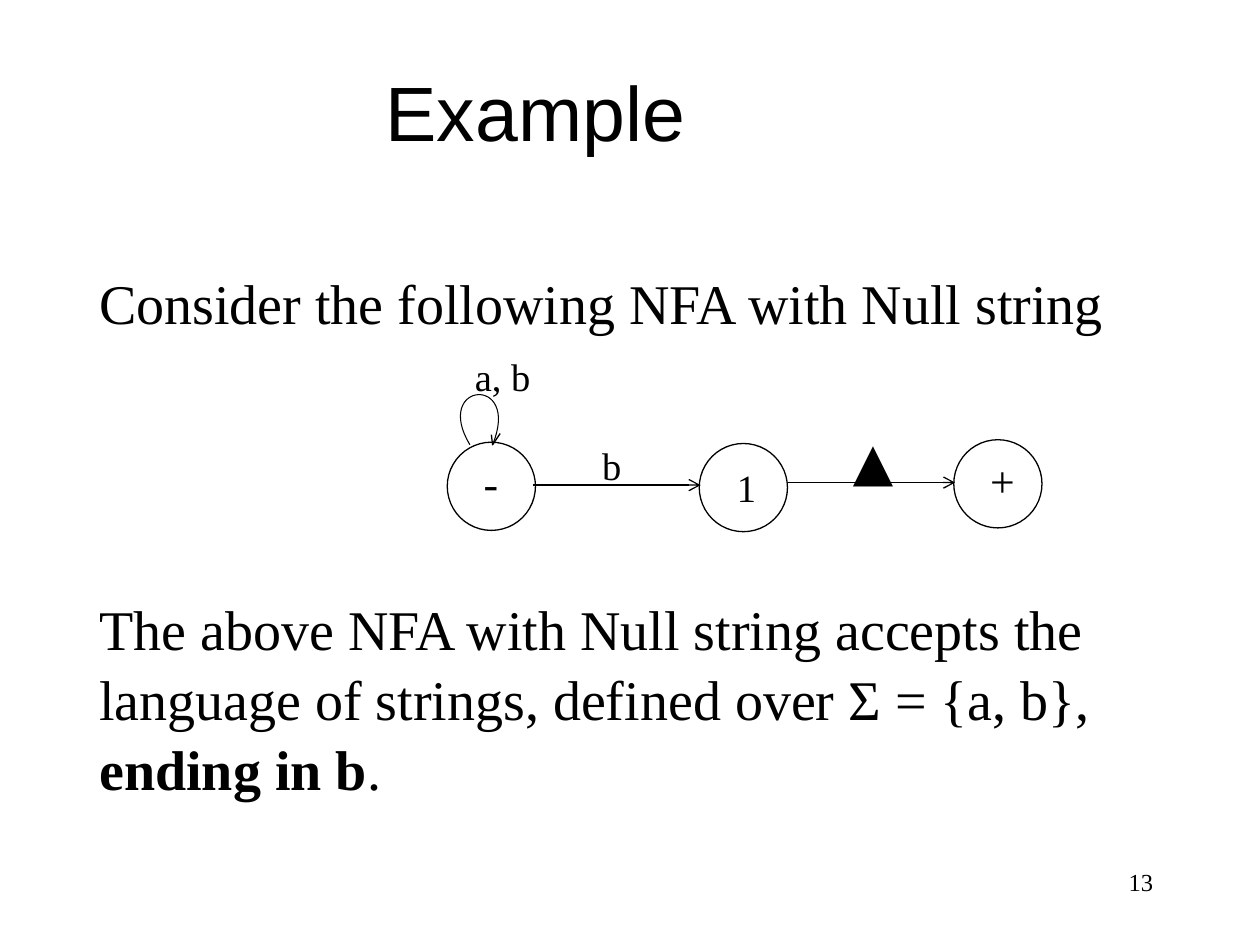
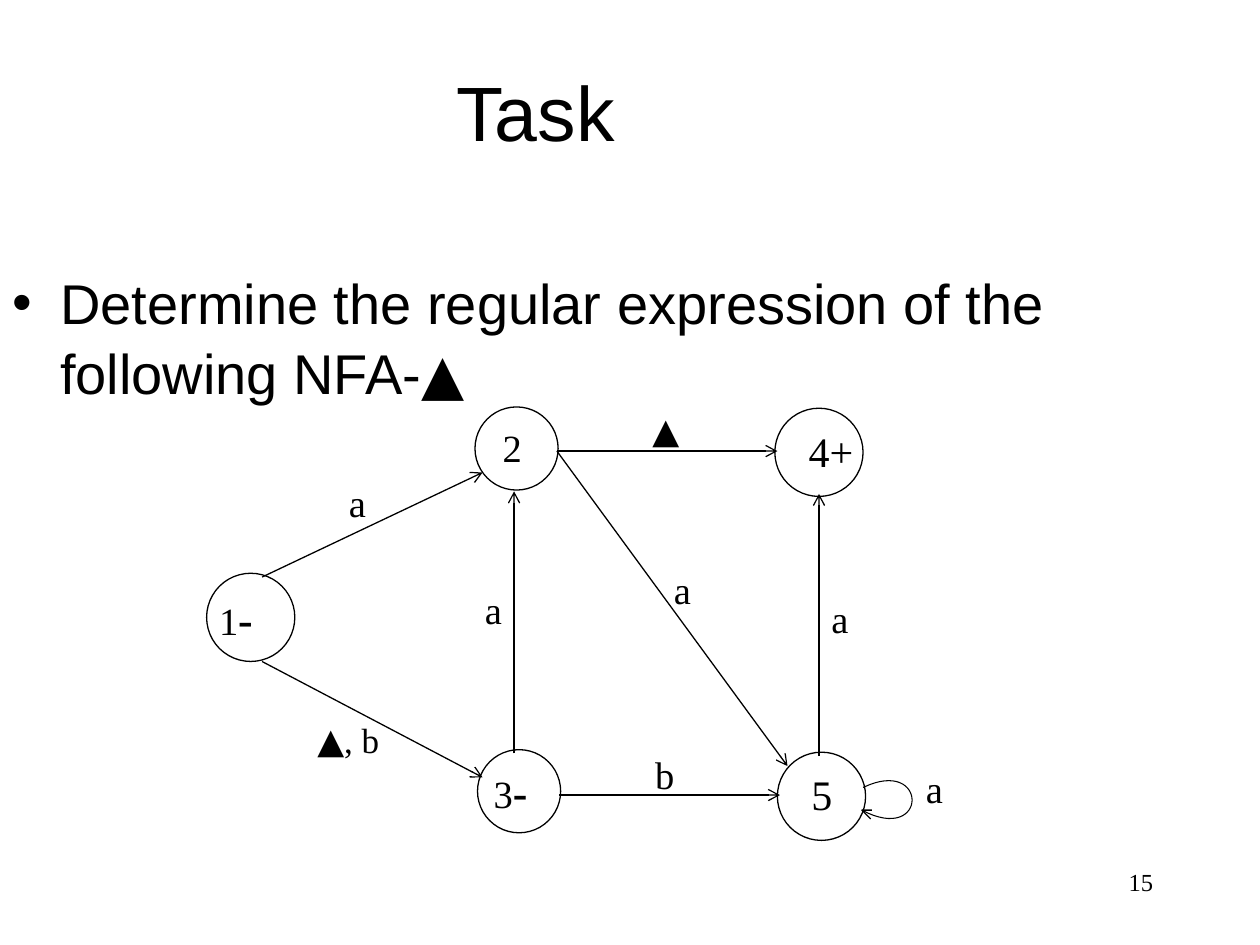
"""Builds two slides about finite automata with null transitions."""
from dataclasses import dataclass

from lxml.etree import SubElement
from pptx import Presentation
from pptx.dml.color import RGBColor
from pptx.enum.shapes import MSO_CONNECTOR, MSO_SHAPE
from pptx.enum.text import MSO_ANCHOR, PP_ALIGN
from pptx.oxml.ns import qn
from pptx.util import Pt

PX = 9144


@dataclass(frozen=True)
class Theme:
    ink: RGBColor = RGBColor(0, 0, 0)
    paper: RGBColor = RGBColor(255, 255, 255)
    sans: str = "Arial"
    serif: str = "Times New Roman"
    symbol: str = "Cambria"
    title: int = 44
    body: int = 32
    big_null: int = 30
    sign: int = 25
    state: int = 24
    label: int = 22
    null: int = 20
    number: int = 14
    body_spacing: float = 1.04
    stroke: float = 0.75
    loop_stroke: float = 0.6


T = Theme()


def add_text(s, box, runs, align=PP_ALIGN.LEFT, anchor=MSO_ANCHOR.TOP):
    """Add a text box of (text, size, font, bold) runs and return its paragraph."""
    tf = s.shapes.add_textbox(*[v * PX for v in box]).text_frame
    tf.word_wrap = True
    tf.vertical_anchor = anchor
    p = tf.paragraphs[0]
    p.alignment = align
    for text, size, font, bold in runs:
        r = p.add_run()
        r.text = text
        r.font.size, r.font.name, r.font.bold = Pt(size), font, bold
        r.font.color.rgb = T.ink
    return p


def add_path(s, points, width):
    """Draw an open outline through the points."""
    emu = [(round(x * PX), round(y * PX)) for x, y in points]
    fb = s.shapes.build_freeform(*emu[0])
    fb.add_line_segments(emu[1:], close=False)
    sp = fb.convert_to_shape()
    sp.shadow.inherit = False
    sp.fill.background()
    sp.line.color.rgb = T.ink
    sp.line.width = Pt(width)


def_label = (T.label, T.serif, False)
minus = ("-", T.sign, T.serif, True)

slides = [
    {
        "title": "Example",
        "number": "13",
        "body": [
            ((31, 206, 894, 65), False,
             [("Consider the following NFA with Null string", T.body, T.serif, False)]),
            ((31, 465, 894, 197), False,
             [("The above NFA with Null string accepts the language of strings, "
               "defined over Σ = {a, b}, ", T.body, T.serif, False),
              ("ending in b", T.body, T.serif, True),
              (".", T.body, T.serif, False)]),
        ],
        "states": [(355, 351, 70), (555, 352, 70), (757, 349, 70)],
        "arrows": [(423, 385, 556, 385), (625, 383, 758, 383)],
        "loop": [(373, 353), (343, 303), (414, 297), (391, 353)],
        "loop_head": [(397, 344), (391, 353), (390, 345)],
        "labels": [
            ((374, 357, 41, 40), [("-", T.sign, T.serif, False)]),
            ((575, 363, 98, 67), [("1", *def_label)]),
            ((776, 355, 41, 40), [("+", T.sign, T.serif, False)]),
            ((367, 275, 98, 67), [("a, b", *def_label)]),
            ((468, 346, 98, 67), [("b", *def_label)]),
            ((667, 335, 98, 67), [("▲", T.big_null, T.symbol, False)]),
        ],
    },
    {
        "title": "Task",
        "number": "15",
        "body": [
            ((0, 206, 894, 456), True,
             [("Determine the regular expression of the following NFA-",
               T.body, T.sans, False),
              ("▲", T.body, T.symbol, False)]),
        ],
        "states": [(164, 455, 70), (377, 323, 66), (379, 595, 66),
                   (615, 324, 70), (617, 597, 70)],
        "arrows": [(208, 458, 383, 375), (208, 525, 383, 617),
                   (408, 598, 408, 390), (442, 358, 617, 358),
                   (444, 631, 619, 631), (442, 358, 625, 608),
                   (650, 600, 650, 392)],
        "loop": [(685, 625), (737, 600), (737, 671), (684, 643)],
        "loop_head": [(691, 650), (684, 643), (692, 643)],
        "labels": [
            ((164, 465, 83, 43), [("1", *def_label), minus]),
            ((389, 332, 100, 40), [("2", *def_label)]),
            ((382, 602, 91, 40), [("3", *def_label), minus]),
            ((632, 333, 68, 34), [("4+", T.state, T.serif, False)]),
            ((634, 605, 75, 45), [("5", T.state, T.serif, False)]),
            ((267, 375, 41, 40), [("a", *def_label)]),
            ((375, 460, 41, 40), [("a", *def_label)]),
            ((525, 444, 41, 40), [("a", *def_label)]),
            ((650, 467, 41, 40), [("a", *def_label)]),
            ((725, 602, 41, 40), [("a", *def_label)]),
            ((510, 591, 41, 40), [("b", *def_label)]),
            ((508, 319, 41, 40), [("▲", T.null, T.symbol, False)]),
            ((242, 565, 83, 44), [("▲", T.null, T.symbol, False),
                                  (", b", T.null, T.serif, False)]),
        ],
    },
]

prs = Presentation()
prs.slide_width, prs.slide_height = 1000 * PX, 750 * PX

for page in slides:
    s = prs.slides.add_slide(prs.slide_layouts[6])
    add_text(s, (0, 25, 850, 125), [(page["title"], T.title, T.sans, False)],
             PP_ALIGN.CENTER, MSO_ANCHOR.MIDDLE)

    for box, bulleted, runs in page["body"]:
        p = add_text(s, box, runs)
        p.line_spacing = T.body_spacing
        pPr = p._p.get_or_add_pPr()
        pPr.set("marL", str(38 * PX))
        pPr.set("indent", str(-38 * PX if bulleted else 0))
        if bulleted:
            SubElement(pPr, qn("a:buFont")).set("typeface", T.sans)
            SubElement(pPr, qn("a:buChar")).set("char", "•")

    for left, top, size in page["states"]:
        sp = s.shapes.add_shape(MSO_SHAPE.OVAL, left * PX, top * PX, size * PX, size * PX)
        sp.shadow.inherit = False
        sp.fill.solid()
        sp.fill.fore_color.rgb = T.paper
        sp.line.color.rgb = T.ink
        sp.line.width = Pt(T.stroke)

    for ends in page["arrows"]:
        sp = s.shapes.add_connector(MSO_CONNECTOR.STRAIGHT, *[v * PX for v in ends])
        sp.line.color.rgb = T.ink
        sp.line.width = Pt(T.stroke)
        SubElement(sp.line._get_or_add_ln(), qn("a:tailEnd")).set("type", "arrow")
        SubElement(sp._element.spPr, qn("a:effectLst"))

    curve = []
    for step in range(33):
        t = step / 32
        weights = ((1 - t) ** 3, 3 * t * (1 - t) ** 2, 3 * t ** 2 * (1 - t), t ** 3)
        curve.append([sum(w * v for w, v in zip(weights, axis))
                      for axis in zip(*page["loop"])])
    add_path(s, curve, T.loop_stroke)
    add_path(s, page["loop_head"], T.stroke)

    for box, runs in page["labels"]:
        add_text(s, box, runs)
    add_text(s, (717, 683, 208, 50), [(page["number"], T.number, T.serif, False)],
             PP_ALIGN.RIGHT)

prs.save("out.pptx")
